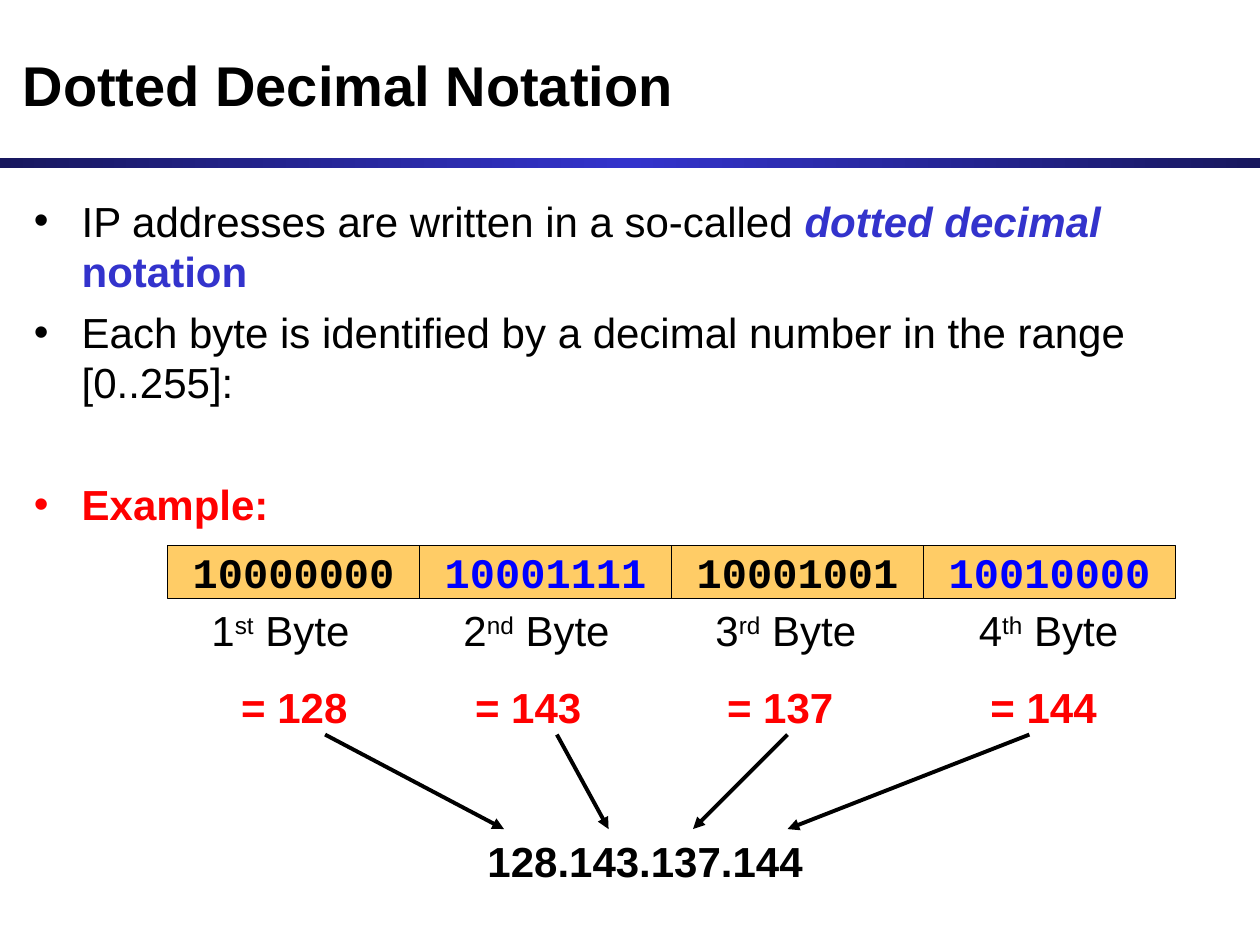
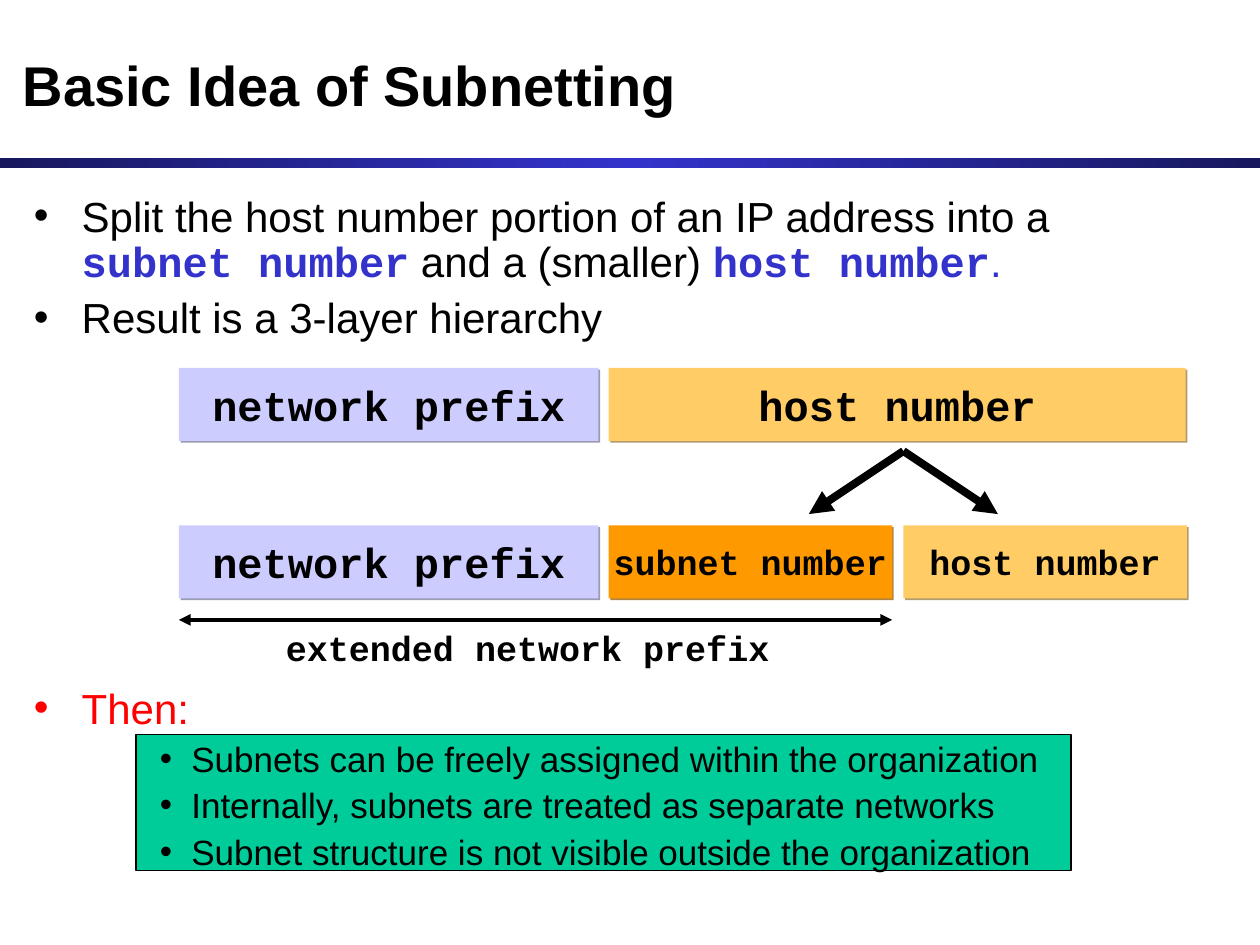
from lxml.etree import SubElement
from pptx import Presentation
from pptx.dml.color import RGBColor
from pptx.enum.shapes import MSO_CONNECTOR, MSO_SHAPE
from pptx.enum.text import MSO_ANCHOR, PP_ALIGN
from pptx.oxml.ns import qn
from pptx.util import Inches, Pt

BLACK, RED, BLUE = "000000", "FF0000", "0000FF"
INDIGO, NAVY = "3333CC", "18185E"
AMBER, ORANGE, LAVENDER, GREEN = "FFCC66", "FF9900", "CCCCFF", "00CC99"
SANS, MONO = "Arial", "Courier New"
LEADING = 1.2


def colour(code):
    """Turn a hex string into a colour."""
    return RGBColor.from_string(code)


def child(parent, tag, **attributes):
    """Append an XML element with the given attributes."""
    return SubElement(parent, qn(tag), {key: str(value) for key, value in attributes.items()})


def add_spans(para, spans, size=24, font=SANS, color=BLACK, bold=False, italic=False, raised=False):
    """Write text, or pairs of text and overrides, into a paragraph."""
    base = dict(size=size, font=font, color=color, bold=bold, italic=italic, raised=raised)
    for text, changes in [(spans, {})] if isinstance(spans, str) else spans:
        look = {**base, **changes}
        if text == "\n":
            para.add_line_break()
            continue
        span = para.add_run()
        span.text = text
        span.font.size, span.font.name = Pt(look["size"]), look["font"]
        span.font.bold, span.font.italic = look["bold"], look["italic"]
        span.font.color.rgb = colour(look["color"])
        if look["raised"]:
            span._r.get_or_add_rPr().set("baseline", "30000")


def add_para(frame, spans, align=PP_ALIGN.LEFT, before=0, leading=None, bullet=None,
             margin=0.38, hang=0.38, **look):
    """Add a formatted paragraph, with a bullet if a bullet colour is given."""
    first = frame.paragraphs[0]
    para = frame.add_paragraph() if first.runs else first
    para.alignment, para.space_before = align, Pt(before)
    if leading:
        para.line_spacing = Pt(round(leading * look.get("size", 24), 1))
    if bullet:
        properties = para._p.get_or_add_pPr()
        properties.set("marL", str(Inches(margin)))
        properties.set("indent", str(-Inches(hang)))
        child(child(properties, "a:buClr"), "a:srgbClr", val=bullet)
        child(properties, "a:buFont", typeface=SANS)
        child(properties, "a:buChar", char="•")
    add_spans(para, spans, **look)


def add_text_box(page, left, top, width, height):
    """Add a wrapping text box and return its frame."""
    box = page.shapes.add_textbox(Inches(left), Inches(top), Inches(width), Inches(height))
    box.text_frame.word_wrap = True
    return box.text_frame


def add_block(page, left, top, width, height, fill, text="", line=None, shadow=None, **look):
    """Add a rectangle with an optional label, outline and shadow."""
    block = page.shapes.add_shape(
        MSO_SHAPE.RECTANGLE, Inches(left), Inches(top), Inches(width), Inches(height))
    block.shadow.inherit = False
    block.fill.solid()
    block.fill.fore_color.rgb = colour(fill)
    if line:
        block.line.color.rgb, block.line.width = colour(line), Pt(0.75)
    else:
        block.line.fill.background()
    if shadow:
        effects = block.element.spPr.find(qn("a:effectLst"))
        cast = child(effects, "a:outerShdw", blurRad=0, dist=Pt(1.4), dir=45 * 60000,
                     algn="ctr", rotWithShape=0)
        child(child(cast, "a:srgbClr", val=shadow), "a:alpha", val=75000)
    if text:
        frame = block.text_frame
        frame.word_wrap, frame.vertical_anchor = False, MSO_ANCHOR.MIDDLE
        add_para(frame, text, align=PP_ALIGN.CENTER, font=MONO, bold=True, **look)
    return block


def add_arrow(page, start, end, weight=2.25, both=False):
    """Draw a black arrow between two points."""
    arrow = page.shapes.add_connector(
        MSO_CONNECTOR.STRAIGHT, *(Inches(value) for value in (*start, *end)))
    arrow.line.color.rgb, arrow.line.width = colour(BLACK), Pt(weight)
    outline = arrow.line._get_or_add_ln()
    for tag in ("a:headEnd", "a:tailEnd") if both else ("a:tailEnd",):
        child(outline, tag, type="triangle")
    child(arrow.element.spPr, "a:effectLst")


def add_band(page):
    """Draw the gradient band below the title."""
    band = add_block(page, 0, 1.25, 10, 0.08, NAVY)
    band.fill.gradient()
    band.fill.gradient_angle = 0
    stops = band.element.spPr.find(qn("a:gradFill")).find(qn("a:gsLst"))
    for stop in list(stops):
        stops.remove(stop)
    for position, code in ((0, NAVY), (50, INDIGO), (100, NAVY)):
        child(child(stops, "a:gs", pos=position * 1000), "a:srgbClr", val=code)


def add_page(deck, heading):
    """Add a slide with its band and title."""
    page = deck.slides.add_slide(deck.slide_layouts[5])
    add_band(page)
    title = page.shapes.title
    title.left, title.top, title.width, title.height = map(Inches, (0.08, 0.17, 9.83, 1))
    title.text_frame.vertical_anchor = MSO_ANCHOR.MIDDLE
    add_para(title.text_frame, heading, size=32, bold=True)
    return page


def add_address_bytes(page, left, top, width=2):
    """Draw the four bytes, their decimal values and the dotted address."""
    address_bytes = [
        ("10000000", "st", 128, 0.25, (1.25, 2.67)),
        ("10001111", "nd", 143, 0.25, (3.09, 3.5)),
        ("10001001", "rd", 137, 0.25, (4.92, 4.17)),
        ("10010000", "th", 144, 0.34, (6.84, 4.92)),
    ]
    for index, (bits, suffix, value, inset, ends) in enumerate(address_bytes):
        cell = left + index * width
        add_block(page, cell, top, width, 0.42, AMBER, bits, line=BLACK,
                  color=BLUE if index % 2 else BLACK)
        frame = add_text_box(page, cell + inset, top + 0.42, 1.42, 1.11)
        ordinal = [(str(index + 1), {}), (suffix, {"raised": True}), (" Byte", {})]
        add_para(frame, ordinal, before=15, leading=LEADING)
        add_para(frame, f" = {value}", before=15, leading=LEADING, color=RED, bold=True,
                 align=PP_ALIGN.LEFT if index else PP_ALIGN.CENTER)
        add_arrow(page, (left + ends[0], top + 1.5), (left + ends[1], top + 2.25))
    frame = add_text_box(page, left + 2, top + 2.25, 3.58, 0.5)
    add_para(frame, ".".join(str(item[2]) for item in address_bytes), leading=LEADING,
             align=PP_ALIGN.CENTER, bold=True)


def add_subnet_split(page, left, top):
    """Draw how the host number splits into subnet and host numbers."""
    host, lower, height = left + 3.41, top + 1.25, 0.58
    small_host = left + 5.75
    for row in (top, lower):
        add_block(page, left, row, 3.33, height, LAVENDER, "network prefix", shadow="7A7A99")
    add_block(page, host, top, 4.58, height, AMBER, "host number", shadow="997A3D")
    add_block(page, host, lower, 2.25, height, ORANGE, "subnet number", shadow="995C00", size=20)
    add_block(page, small_host, lower, 2.25, height, AMBER, "host number", shadow="997A3D", size=20)
    for shift in (-0.75, 0.75):
        add_arrow(page, (small_host, top + 0.66), (small_host + shift, top + 1.16), weight=4.5)
    add_arrow(page, (left, top + 2), (left + 5.66, top + 2), both=True)
    frame = add_text_box(page, left + 0.75, top + 2, 4.08, 0.44)
    add_para(frame, "extended network prefix", size=20, font=MONO, bold=True)


def build_notation(deck):
    """Build the slide on dotted decimal notation."""
    page = add_page(deck, "Dotted Decimal Notation")
    body = add_text_box(page, 0.17, 1.5, 9.75, 2.8)
    term = dict(color=INDIGO, bold=True)
    written = [("IP addresses are written in a so-called ", {}),
               ("dotted decimal ", dict(term, italic=True)), ("notation", term)]
    add_para(body, written, leading=LEADING, bullet=BLACK)
    add_para(body, "Each byte is identified by a decimal number in the range [0..255]:",
             before=6, leading=LEADING, bullet=BLACK)
    add_para(body, "Example:", before=40.8, leading=LEADING, bullet=RED, color=RED, bold=True)
    add_address_bytes(page, 1.33, 4.33)


def build_subnetting(deck):
    """Build the slide on the idea of subnetting."""
    page = add_page(deck, "Basic Idea of Subnetting")
    add_block(page, 1.08, 5.83, 7.42, 1.08, GREEN, line=BLACK)
    body = add_text_box(page, 0.17, 1.5, 9.75, 5.75)
    tight = 0.9 * LEADING
    term = dict(font=MONO, color=INDIGO, bold=True)
    split = [("Split the host number portion of an IP address into a", {}), ("\n", {}),
             ("subnet number", term), (" and a (smaller) ", {}),
             ("host number", term), (".", {"color": INDIGO})]
    add_para(body, split, leading=tight, bullet=BLACK)
    add_para(body, "Result is a 3-layer hierarchy", before=6, leading=tight, bullet=BLACK)
    add_para(body, "Then:", before=197.5, leading=tight, bullet=RED, color=RED)
    for consequence in ("Subnets can be freely assigned within the organization",
                        "Internally, subnets are treated as separate networks",
                        "Subnet structure is not visible outside the organization"):
        add_para(body, consequence, before=5, leading=tight, bullet=BLACK,
                 margin=1.25, hang=0.25, size=20)
    add_subnet_split(page, 1.42, 2.92)


def main():
    """Build and save the deck."""
    deck = Presentation()
    deck.slide_width, deck.slide_height = Inches(10), Inches(7.5)
    build_notation(deck)
    build_subnetting(deck)
    deck.save("out.pptx")


if __name__ == "__main__":
    main()
